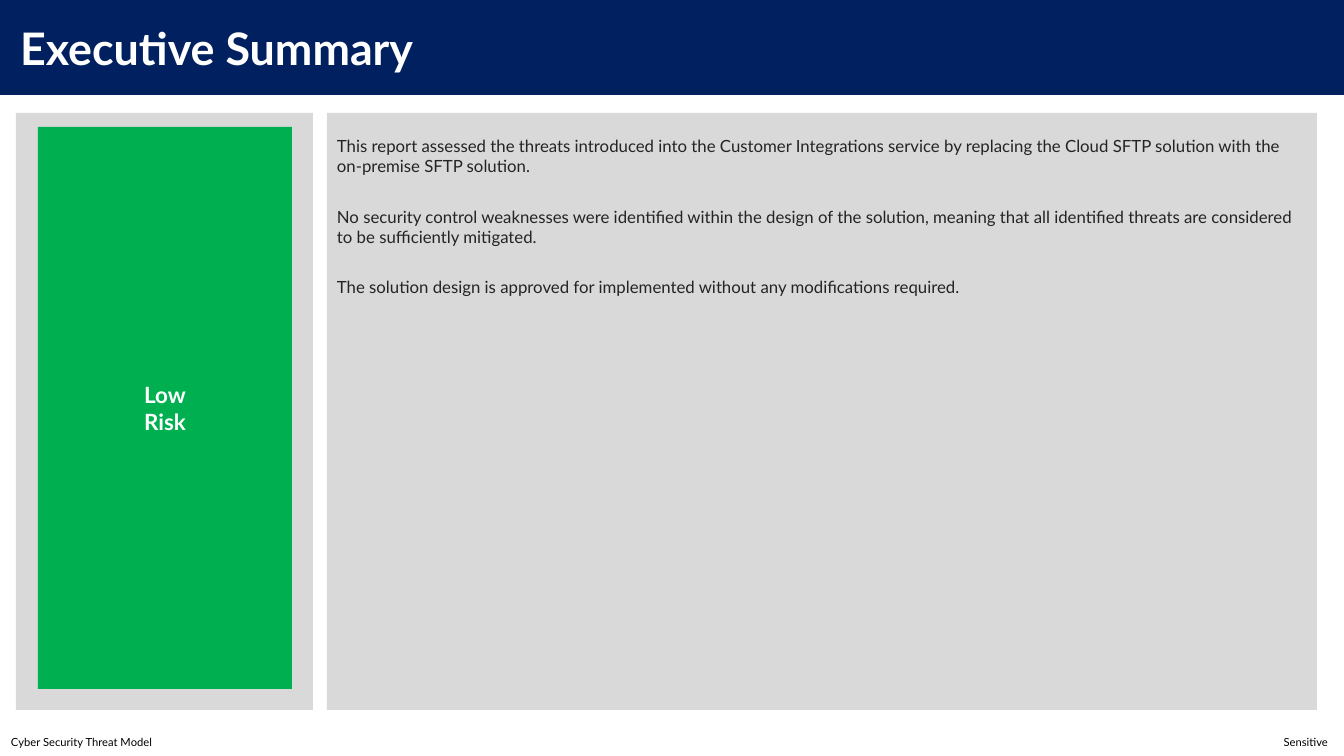
from dataclasses import dataclass

from lxml import etree
from pptx import Presentation
from pptx.dml.color import RGBColor
from pptx.enum.shapes import MSO_SHAPE
from pptx.enum.text import MSO_ANCHOR, MSO_AUTO_SIZE, PP_ALIGN
from pptx.oxml.ns import qn
from pptx.util import Inches, Pt

RECTANGLE = MSO_SHAPE.RECTANGLE
TOP, MIDDLE = MSO_ANCHOR.TOP, MSO_ANCHOR.MIDDLE
LEFT, CENTER = PP_ALIGN.LEFT, PP_ALIGN.CENTER
NO_AUTOFIT = MSO_AUTO_SIZE.NONE

PX_PER_INCH = 100.8
SLIDE_WIDTH, SLIDE_HEIGHT = 1344, 756
TITLE_ONLY_LAYOUT = 5


@dataclass(frozen=True)
class Theme:
    font: str = "Lato"
    navy: str = "002060"
    panel: str = "D9D9D9"
    low_risk: str = "00B050"
    white: str = "FFFFFF"
    ink: str = "242424"
    black: str = "000000"
    title_size: int = 32
    rating_size: int = 16
    body_size: int = 12
    footer_size: int = 8
    paragraph_gap: float = 21.6


def px(length):
    return Inches(length / PX_PER_INCH)


class SlideBuilder:
    def __init__(self, slide, theme):
        self.slide = slide
        self.theme = theme

    def set_text(self, shape, paragraphs, size, color, bold=False, align=LEFT,
                 anchor=MIDDLE, insets=(10, 5, 10, 5), gap=0):
        """Fill a shape with text; insets run left, top, right, bottom."""
        frame = shape.text_frame
        frame.word_wrap = True
        frame.auto_size = NO_AUTOFIT
        frame.vertical_anchor = anchor
        (frame.margin_left, frame.margin_top,
         frame.margin_right, frame.margin_bottom) = map(px, insets)
        frame.text = "\n".join(paragraphs)
        for index, paragraph in enumerate(frame.paragraphs):
            paragraph.alignment = align
            paragraph.space_before = Pt(gap if index else 0)
            paragraph.font.name = self.theme.font
            paragraph.font.size = Pt(size)
            paragraph.font.bold = bold
            paragraph.font.color.rgb = RGBColor.from_string(color)

    def title(self, text, height):
        band = self.slide.shapes.title
        band.left, band.top = 0, 0
        band.width, band.height = px(SLIDE_WIDTH), px(height)
        band.fill.solid()
        band.fill.fore_color.rgb = RGBColor.from_string(self.theme.navy)
        self.set_text(band, [text], self.theme.title_size, self.theme.white,
                      bold=True, insets=(20, 5, 10, 5))

    def panel(self, left, top, width, height, color):
        panel = self.slide.shapes.add_shape(
            RECTANGLE, px(left), px(top), px(width), px(height))
        panel.shadow.inherit = False
        panel.fill.solid()
        panel.fill.fore_color.rgb = RGBColor.from_string(color)
        panel.line.fill.background()
        return panel

    def footer(self, left_text, right_text, top, right_edge):
        """Set both footer texts on one line, parted by a right tab stop."""
        inset = 11
        footer = self.slide.shapes.add_textbox(
            0, px(top), px(SLIDE_WIDTH), px(SLIDE_HEIGHT - top))
        self.set_text(footer, [f"{left_text}\t{right_text}"],
                      self.theme.footer_size, self.theme.black,
                      insets=(inset, 5, 10, 5))
        properties = footer.text_frame.paragraphs[0]._p.get_or_add_pPr()
        tabs = etree.Element(qn("a:tabLst"))
        etree.SubElement(tabs, qn("a:tab"),
                         pos=str(px(right_edge - inset)), algn="r")
        properties.find(qn("a:defRPr")).addprevious(tabs)


def main():
    theme = Theme()
    presentation = Presentation()
    presentation.slide_width = px(SLIDE_WIDTH)
    presentation.slide_height = px(SLIDE_HEIGHT)
    layout = presentation.slide_layouts[TITLE_ONLY_LAYOUT]
    builder = SlideBuilder(presentation.slides.add_slide(layout), theme)

    builder.title("Executive Summary", height=95)
    builder.footer("Cyber Security Threat Model", "Sensitive",
                   top=729, right_edge=1328)

    panel_top, panel_height = 113, 597
    findings = builder.panel(327, panel_top, 990, panel_height, theme.panel)
    builder.set_text(findings, [
        "This report assessed the threats introduced into the Customer "
        "Integrations service by replacing the Cloud SFTP solution with the "
        "on-premise SFTP solution.",
        "No security control weaknesses were identified within the design of "
        "the solution, meaning that all identified threats are considered to "
        "be sufficiently mitigated.",
        "The solution design is approved for implemented without any "
        "modifications required.",
    ], theme.body_size, theme.ink, anchor=TOP, insets=(10, 23, 10, 5),
        gap=theme.paragraph_gap)

    builder.panel(16, panel_top, 297, panel_height, theme.panel)
    rating = builder.panel(38, 127, 254, 562, theme.low_risk)
    builder.set_text(rating, ["Low", "Risk"], theme.rating_size, theme.white,
                     bold=True, align=CENTER)

    presentation.save("out.pptx")


if __name__ == "__main__":
    main()
